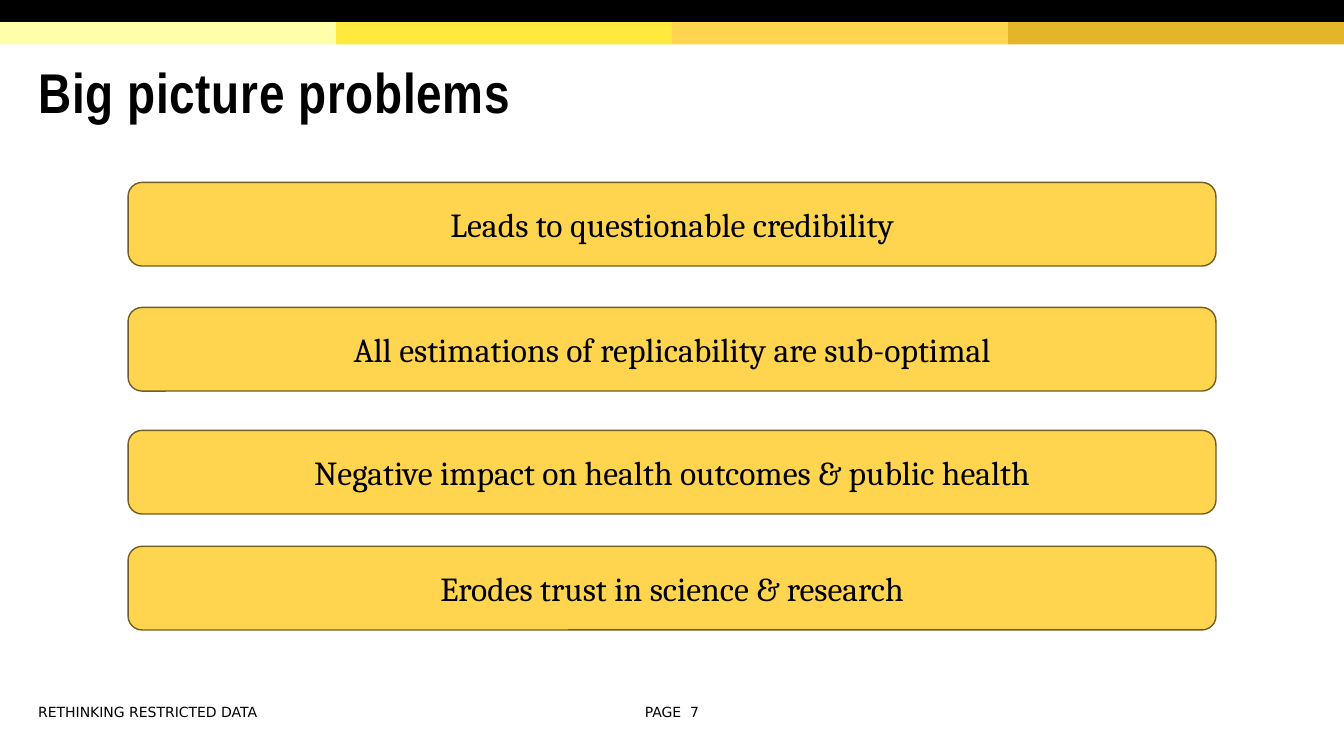
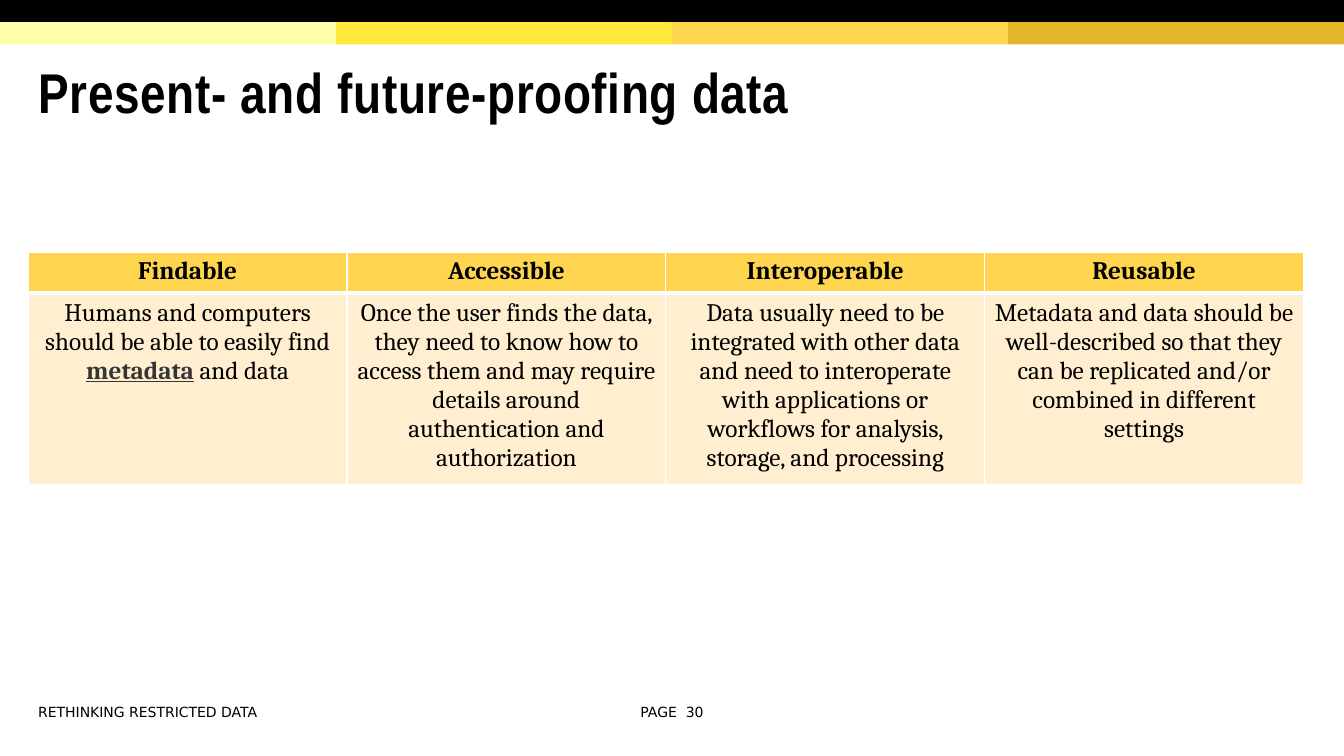
import pptx
import pptx.dml.color
import pptx.enum.shapes
import pptx.enum.text
import pptx.oxml
import pptx.oxml.ns
import pptx.util

Inches = pptx.util.Inches
Pt = pptx.util.Pt
ALIGN = pptx.enum.text.PP_ALIGN
MIDDLE = pptx.enum.text.MSO_ANCHOR.MIDDLE
SHAPE = pptx.enum.shapes.MSO_SHAPE

COLOURS = {
    "black": "000000",
    "white": "FFFFFF",
    "lemon": "FFFFAA",
    "yellow": "FFEA3D",
    "amber": "FFD54F",
    "gold": "E4B429",
    "outline": "705D23",
    "cream": "FFEFD0",
    "charcoal": "353535",
}
TITLE_FONT, BODY_FONT, FOOTER_FONT = "Arial Narrow", "Cambria", "DejaVu Sans"
WIDTH, HEIGHT = 13.33, 7.5
MARGIN, CONTENT_WIDTH = 0.28, 12.65
BAND_HEIGHT = 0.22


def colour(name):
    return pptx.dml.color.RGBColor.from_string(COLOURS[name])


class Deck:
    def __init__(self):
        self.presentation = pptx.Presentation()
        self.presentation.slide_width = Inches(WIDTH)
        self.presentation.slide_height = Inches(HEIGHT)
        self.page = None

    def start_page(self, title, number):
        layout = self.presentation.slide_layouts.get_by_name("Title Only")
        self.page = self.presentation.slides.add_slide(layout)
        self.bands()
        self.title(title)
        self.label("RETHINKING RESTRICTED DATA", MARGIN, 5.72, ALIGN.LEFT)
        self.label(f"PAGE  {number}", 6.11, 1.11, ALIGN.CENTER)

    def style(self, paragraph, font, size, align=ALIGN.CENTER, bold=False):
        paragraph.alignment = align
        paragraph.font.name = font
        paragraph.font.size = Pt(size)
        paragraph.font.bold = bold
        paragraph.font.color.rgb = colour("black")

    def block(self, kind, left, top, width, height, fill):
        shape = self.page.shapes.add_shape(
            kind, Inches(left), Inches(top), Inches(width), Inches(height))
        shape.shadow.inherit = False
        shape.fill.solid()
        shape.fill.fore_color.rgb = colour(fill)
        shape.line.fill.background()
        return shape

    def bands(self):
        self.block(SHAPE.RECTANGLE, 0, 0, WIDTH, BAND_HEIGHT, "black")
        names = ("lemon", "yellow", "amber", "gold")
        width = WIDTH / len(names)
        for index, name in enumerate(names):
            self.block(SHAPE.RECTANGLE, index * width, BAND_HEIGHT,
                       width, BAND_HEIGHT, name)

    def title(self, text):
        box = self.page.shapes.title
        box.left, box.top = Inches(MARGIN), Inches(0.47)
        box.width, box.height = Inches(CONTENT_WIDTH), Inches(0.98)
        frame = box.text_frame
        frame.text = text
        frame.auto_size = pptx.enum.text.MSO_AUTO_SIZE.NONE
        frame.vertical_anchor = MIDDLE
        paragraph = frame.paragraphs[0]
        paragraph.line_spacing = 0.85
        self.style(paragraph, TITLE_FONT, 40, ALIGN.LEFT, bold=True)
        # Letter spacing, in hundredths of a point
        paragraph.runs[0].font._element.set("spc", "50")

    def label(self, text, left, width, align):
        box = self.page.shapes.add_textbox(
            Inches(left), Inches(6.93), Inches(width), Inches(0.27))
        frame = box.text_frame
        frame.word_wrap = True
        frame.vertical_anchor = MIDDLE
        frame.text = text
        self.style(frame.paragraphs[0], FOOTER_FONT, 10, align)

    def bar(self, text, top):
        bar = self.block(SHAPE.ROUNDED_RECTANGLE, 1.27, top, 10.79, 0.83, "amber")
        bar.line.color.rgb = colour("outline")
        bar.line.width = Pt(1)
        frame = bar.text_frame
        frame.text = text
        frame.vertical_anchor = MIDDLE
        self.style(frame.paragraphs[0], BODY_FONT, 24)

    def cell_borders(self, cell, top, bottom):
        """White borders; top and bottom widths are in points."""
        properties = cell._tc.get_or_add_tcPr()
        widths = {"lnL": 1, "lnR": 1, "lnT": top, "lnB": bottom}
        for position, (side, points) in enumerate(widths.items()):
            properties.insert(position, pptx.oxml.parse_xml(
                f'<a:{side} {pptx.oxml.ns.nsdecls("a")} w="{Pt(points)}">'
                f'<a:solidFill><a:srgbClr val="{COLOURS["white"]}"/></a:solidFill>'
                f'</a:{side}>'))

    def table(self, columns, top, row_heights, emphasised):
        """Columns are (heading, text) pairs; the emphasised word is underlined."""
        table = self.page.shapes.add_table(
            2, len(columns), Inches(MARGIN), Inches(top),
            Inches(CONTENT_WIDTH), Inches(sum(row_heights))).table
        table.first_row = table.horz_banding = False
        for row, height in zip(table.rows, row_heights):
            row.height = Inches(height)
        for column, texts in enumerate(columns):
            for row, text in enumerate(texts):
                heading = row == 0
                cell = table.cell(row, column)
                cell.fill.solid()
                cell.fill.fore_color.rgb = colour("amber" if heading else "cream")
                self.cell_borders(cell, *((1, 3) if heading else (3, 1)))
                paragraph = cell.text_frame.paragraphs[0]
                before, word, after = text.partition(f" {emphasised} ")
                for part in (before, word, after):
                    if not part:
                        continue
                    span = paragraph.add_run()
                    span.text = part
                self.style(paragraph, BODY_FONT, 18, bold=heading)
                if word:
                    self.emphasise(paragraph, emphasised)

    def emphasise(self, paragraph, emphasised):
        before, span, after = paragraph.runs
        before.text += " "
        span.text = emphasised
        after.text = " " + after.text
        span.font.bold = span.font.underline = True
        span.font.color.rgb = colour("charcoal")


def main():
    deck = Deck()

    deck.start_page("Big picture problems", 7)
    problems = (
        ("Leads to questionable credibility", 1.81),
        ("All estimations of replicability are sub-optimal", 3.05),
        ("Negative impact on health outcomes & public health", 4.27),
        ("Erodes trust in science & research", 5.42),
    )
    for text, top in problems:
        deck.bar(text, top)

    deck.start_page("Present- and future-proofing data", 30)
    principles = (
        ("Findable",
         "Humans and computers should be able to easily find metadata and data"),
        ("Accessible",
         "Once the user finds the data, they need to know how to access them "
         "and may require details around authentication and authorization"),
        ("Interoperable",
         "Data usually need to be integrated with other data and need to "
         "interoperate with applications or workflows for analysis, storage, "
         "and processing"),
        ("Reusable",
         "Metadata and data should be well-described so that they can be "
         "replicated and/or combined in different settings"),
    )
    deck.table(principles, 2.5, (0.41, 1.82), "metadata")

    deck.presentation.save("out.pptx")


if __name__ == "__main__":
    main()
